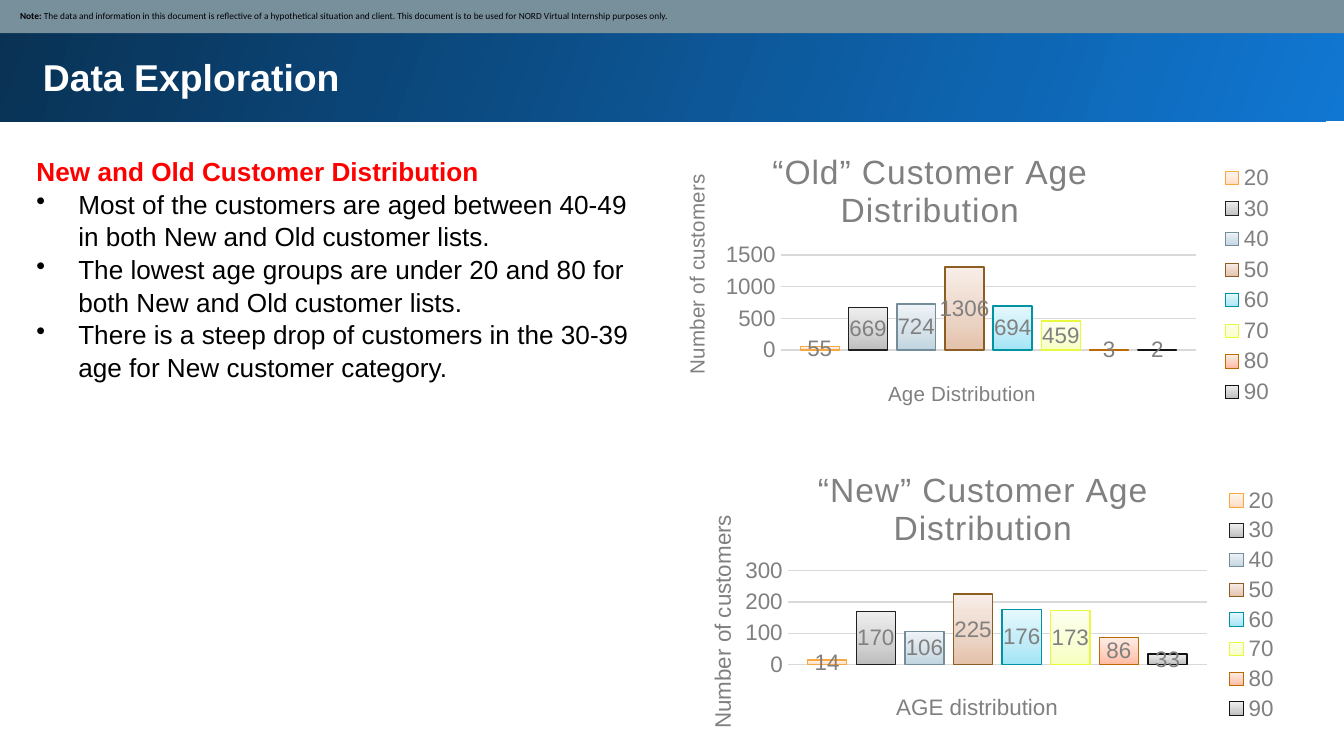
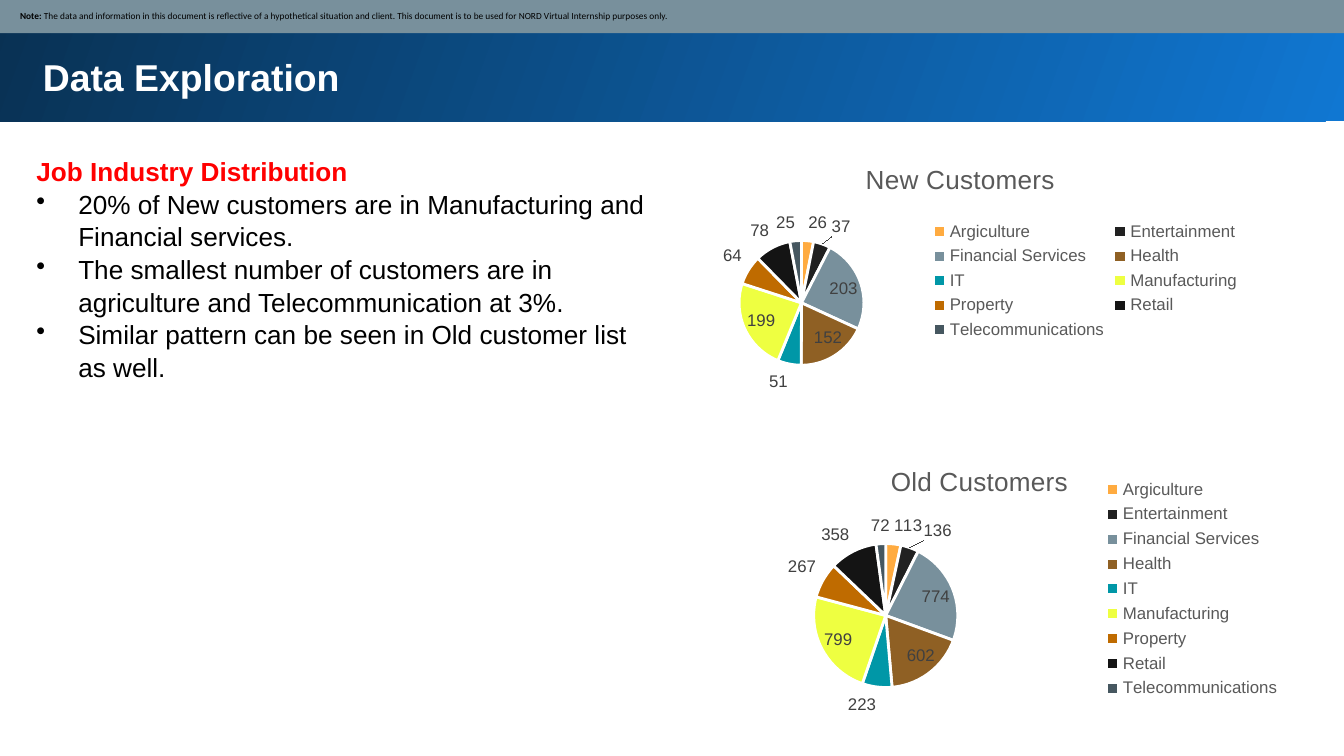
"""Build two data exploration slides about customer age and job industry."""
from copy import deepcopy
from dataclasses import dataclass

from pptx import Presentation
from pptx.chart.data import CategoryChartData
from pptx.dml.color import RGBColor
from pptx.enum.chart import XL_CHART_TYPE as ChartType
from pptx.enum.chart import XL_LABEL_POSITION as LabelPosition
from pptx.enum.chart import XL_LEGEND_POSITION as LegendPosition
from pptx.enum.chart import XL_TICK_MARK as TickMark
from pptx.enum.shapes import MSO_SHAPE as Preset
from pptx.enum.text import MSO_ANCHOR as Anchor
from pptx.enum.text import PP_ALIGN as Align
from pptx.oxml import parse_xml
from pptx.oxml.ns import nsdecls
from pptx.util import Cm, Pt


@dataclass(frozen=True)
class Theme:
    font: str = "Arial"
    note_font: str = "Calibri"
    white: str = "FFFFFF"
    black: str = "000000"
    red: str = "FF0000"
    note_band: str = "78909C"
    banner: tuple = ("1077D2", "093153")
    gray: str = "808080"
    grid: str = "D9D9D9"
    legend: str = "595959"
    label: str = "404040"
    note_size: float = 5
    title_size: float = 20
    body_size: float = 14
    age_title_size: float = 18
    age_size: float = 12
    pie_title_size: float = 14
    pie_size: float = 9
    line_spacing: float = 1.04


theme = Theme()

age_groups = {
    "20": ("F9A73F", ("FFDAC0", "FFE5D3", "FFF5EE")),
    "30": ("202020", ("BDBDBD", "D1D1D1", "EEEEEE")),
    "40": ("758D99", ("C0D4E0", "D3E0E8", "EEF3F7")),
    "50": ("8C5E23", ("E4C1AA", "EBD3C4", "F8EEE8")),
    "60": ("0094A3", ("A0E5F5", "BEEBF7", "E5F8FD")),
    "70": ("E9F940", ("F7FFC0", "F9FFD3", "FDFFEE")),
    "80": ("BB6900", ("FFBBA0", "FFCEBC", "FFECE5")),
    "90": ("131313", ("BDBDBD", "D1D1D1", "EEEEEE")),
}
industries = {
    "Argiculture": "FFAB40",
    "Entertainment": "212121",
    "Financial Services": "78909C",
    "Health": "8F6024",
    "IT": "0097A7",
    "Manufacturing": "EEFF41",
    "Property": "BF6B00",
    "Retail": "141414",
    "Telecommunications": "465760",
}

age_charts = [
    {
        "title": "“Old” Customer Age\nDistribution",
        "category_title": "Age Distribution",
        "axis_title_size": 11,
        "box": (12.32, 2.36, 11.84, 5.72),
        "values": (55, 669, 724, 1306, 694, 459, 3, 2),
        "scale": (1500, 500),
        "layout": {
            "c:plotArea": (20.6, 43, 66.3, 31.5),
            "c:title": (18.6, 7.3),
            "c:catAx/c:title": (37.1, 83),
            "c:valAx/c:title": (4.3, 15),
            "c:legend": (90.5, 11.5, 9, 83),
        },
    },
    {
        "title": "“New” Customer Age\nDistribution",
        "category_title": "AGE distribution",
        "axis_title_size": 12,
        "box": (12.7, 8.33, 11.66, 5.69),
        "values": (14, 170, 106, 225, 176, 173, 86, 33),
        "scale": (300, 100),
        "layout": {
            "c:plotArea": (18.8, 43.2, 67.9, 31.2),
            "c:title": (23, 8),
            "c:catAx/c:title": (35.7, 82.5),
            "c:valAx/c:title": (5.3, 23.3),
            "c:legend": (89.5, 14, 9, 81),
        },
    },
]
industry_charts = [
    {
        "title": "New Customers",
        "box": (12.47, 2.62, 11.18, 5.38),
        "values": (26, 37, 203, 152, 51, 199, 64, 78, 25),
        "layout": {
            "c:plotArea": (13.4, 35.8, 21.1, 43.9),
            "c:title": (34, 6.7),
            "c:legend": (45.5, 27.5, 53, 45),
        },
    },
    {
        "title": "Old Customers",
        "box": (12.47, 8.33, 11.91, 5.56),
        "values": (113, 136, 774, 602, 223, 799, 267, 358, 72),
        "layout": {
            "c:plotArea": (24.4, 35, 22.9, 49),
            "c:title": (35.9, 6.5),
            "c:legend": (70, 11.5, 29, 78),
        },
    },
]
slides = [
    {
        "heading": "New and Old Customer Distribution",
        "bullets": [
            "Most of the customers are aged between 40-49 in both New and Old customer lists.",
            "The lowest age groups are under 20 and 80 for both New and Old customer lists.",
            "There is a steep drop of customers in the 30-39 age for New customer category.",
        ],
        "charts": age_charts,
    },
    {
        "heading": "Job Industry Distribution",
        "bullets": [
            "20% of New customers are in Manufacturing and Financial services.",
            "The smallest number of customers are in agriculture and Telecommunication at 3%.",
            "Similar pattern can be seen in Old customer list as well.",
        ],
        "charts": industry_charts,
    },
]
note = (
    "The data and information in this document is reflective of a hypothetical situation and "
    "client. This document is to be used for NORD Virtual Internship purposes only."
)


def set_font(font, size, color, bold=False, name=theme.font):
    for key, value in {"name": name, "size": Pt(size), "bold": bold}.items():
        setattr(font, key, value)
    font.color.rgb = RGBColor.from_string(color)


def fill_gradient(element, fill, colors, positions, angle):
    fill.gradient()
    fill.gradient_angle = angle
    stops = element.xpath(".//a:gsLst")[0]
    for _ in colors[2:]:
        stops.insert(1, deepcopy(stops[0]))
    for stop, color, position in zip(fill.gradient_stops, colors, positions):
        stop.color.rgb = RGBColor.from_string(color)
        stop.position = position


presentation = Presentation()
presentation.slide_width, presentation.slide_height = Cm(25.4), Cm(14.29)

for content in slides:
    slide = presentation.slides.add_slide(presentation.slide_layouts[6])

    banner = slide.shapes.add_shape(Preset.RECTANGLE, Cm(-0.05), Cm(-0.05), Cm(25.53), Cm(2.34))
    fill_gradient(banner.element, banner.fill, theme.banner, (0, 1), 160)
    title = slide.shapes.add_textbox(Cm(0.56), Cm(0.74), Cm(23.8), Cm(1.3))
    note_band = slide.shapes.add_shape(Preset.RECTANGLE, Cm(-0.03), Cm(-0.03), Cm(25.48), Cm(0.66))
    note_band.fill.solid()
    note_band.fill.fore_color.rgb = RGBColor.from_string(theme.note_band)
    for band in (banner, note_band):
        band.line.fill.background()
        band.shadow.inherit = False
    body = slide.shapes.add_textbox(Cm(0.56), Cm(2.79), Cm(11.76), Cm(4.45))

    for shape, left, inset in ((title, 0.25, 0.25), (note_band, 0.41, 0.13), (body, 0.13, 0.13)):
        frame_format = {
            "word_wrap": True,
            "margin_left": Cm(left),
            "margin_right": Cm(inset),
            "margin_top": Cm(inset),
            "margin_bottom": Cm(inset),
        }
        for key, value in frame_format.items():
            setattr(shape.text_frame, key, value)

    paragraph = title.text_frame.paragraphs[0]
    paragraph.text = "Data Exploration"
    paragraph.line_spacing = theme.line_spacing
    set_font(paragraph.runs[0].font, theme.title_size, theme.white, True)

    note_band.text_frame.vertical_anchor = Anchor.MIDDLE
    paragraph = note_band.text_frame.paragraphs[0]
    paragraph.alignment = Align.LEFT
    for text, bold in (("Note: ", True), (note, False)):
        run = paragraph.add_run()
        run.text = text
        set_font(run.font, theme.note_size, theme.black, bold, theme.note_font)

    body.text_frame.text = "\n".join([content["heading"], *content["bullets"]])
    for index, paragraph in enumerate(body.text_frame.paragraphs):
        is_bullet = index > 0
        paragraph.line_spacing = theme.line_spacing
        color = theme.black if is_bullet else theme.red
        set_font(paragraph.runs[0].font, theme.body_size, color, not is_bullet)
        if is_bullet:
            properties = paragraph._p.get_or_add_pPr()
            properties.set("marL", str(Cm(0.79)))
            properties.set("indent", str(Cm(-0.79)))
            properties.append(parse_xml(f'<a:buChar {nsdecls("a")} char="•"/>'))

    for chart_content in content["charts"]:
        is_age = "scale" in chart_content
        chart_data = CategoryChartData()
        if is_age:
            chart_data.categories = ["1"]
            for name, value in zip(age_groups, chart_content["values"]):
                chart_data.add_series(name, [value])
        else:
            chart_data.categories = list(industries)
            chart_data.add_series("Series 1", chart_content["values"])
        chart_type = ChartType.COLUMN_CLUSTERED if is_age else ChartType.PIE
        box = [Cm(length) for length in chart_content["box"]]
        chart = slide.shapes.add_chart(chart_type, *box, chart_data).chart
        set_font(chart.font, 10, theme.black)
        plot = chart.plots[0]
        plot.vary_by_categories = not is_age

        text_size = theme.age_size if is_age else theme.pie_size
        text_color = theme.gray if is_age else theme.legend
        titles = [(chart.chart_title, chart_content["title"],
                   theme.age_title_size if is_age else theme.pie_title_size)]
        chart.has_legend = True
        for key, value in {"position": LegendPosition.RIGHT, "include_in_layout": False}.items():
            setattr(chart.legend, key, value)
        set_font(chart.legend.font, text_size, text_color)

        if is_age:
            plot.gap_width, plot.overlap = 100, -24
            chart.category_axis.visible = False
            axis = chart.value_axis
            maximum, step = chart_content["scale"]
            axis_format = {
                "minimum_scale": 0,
                "maximum_scale": maximum,
                "major_unit": step,
                "major_tick_mark": TickMark.NONE,
                "minor_tick_mark": TickMark.NONE,
            }
            for key, value in axis_format.items():
                setattr(axis, key, value)
            axis.format.line.fill.background()
            set_font(axis.tick_labels.font, text_size, text_color)
            grid_line = axis.major_gridlines.format.line
            grid_line.width = Pt(0.75)
            grid_line.color.rgb = RGBColor.from_string(theme.grid)
            axis_size = chart_content["axis_title_size"]
            titles.append((axis.axis_title, "Number of customers", axis_size))
            titles.append((chart.category_axis.axis_title, chart_content["category_title"], axis_size))
            for series, (line_color, colors) in zip(plot.series, age_groups.values()):
                fill_gradient(series._element, series.format.fill, colors, (0, 0.35, 1), 90)
                series.format.line.width = Pt(0.75)
                series.format.line.color.rgb = RGBColor.from_string(line_color)
        else:
            for index, color in enumerate(industries.values()):
                point_format = plot.series[0].points[index].format
                point_format.fill.solid()
                point_format.fill.fore_color.rgb = RGBColor.from_string(color)
                point_format.line.width = Pt(1.5)
                point_format.line.color.rgb = RGBColor.from_string(theme.white)

        for series in plot.series:
            labels = series.data_labels
            labels.show_value = True
            labels.position = LabelPosition.CENTER if is_age else LabelPosition.BEST_FIT
            set_font(labels.font, text_size, theme.gray if is_age else theme.label)

        for chart_title, text, size in titles:
            chart_title.text_frame.text = text
            for paragraph in chart_title.text_frame.paragraphs:
                set_font(paragraph.runs[0].font, size, text_color)
        if is_age:
            for properties in chart.element.xpath("./c:chart/c:title//a:rPr"):
                properties.set("spc", "50")
            for properties in chart.element.xpath(".//c:valAx/c:title//a:bodyPr"):
                properties.set("rot", "-5400000")
                properties.set("vert", "horz")

        for part, lengths in chart_content["layout"].items():
            prefix = "./c:chart/c:plotArea/" if "Ax" in part else "./c:chart/"
            element = chart.element.xpath(prefix + part)[0]
            for layout in element.xpath("./c:layout"):
                element.remove(layout)
            target = '<c:layoutTarget val="inner"/>' if part == "c:plotArea" else ""
            modes = '<c:xMode val="edge"/><c:yMode val="edge"/>'
            sizes = "".join(f'<c:{key} val="{value / 100:.3f}"/>' for key, value in zip("xywh", lengths))
            layout = parse_xml(f'<c:layout {nsdecls("c")}><c:manualLayout>{target}{modes}{sizes}'
                               "</c:manualLayout></c:layout>")
            element.insert(len(element.xpath("./c:tx | ./c:legendPos")), layout)

presentation.save("out.pptx")
